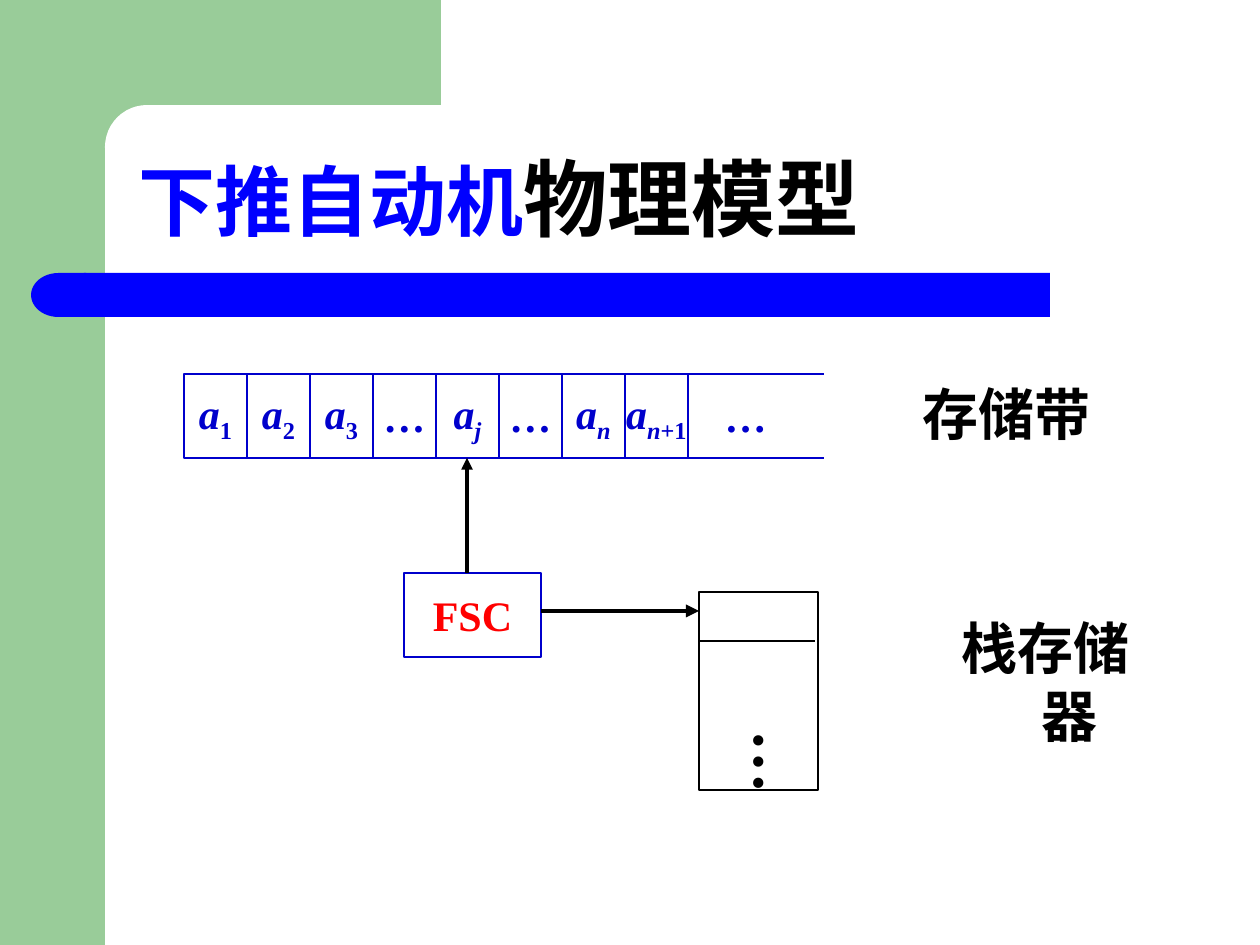
from dataclasses import dataclass
from lxml.etree import SubElement
from pptx import Presentation
from pptx.dml.color import RGBColor
from pptx.enum.shapes import MSO_CONNECTOR, MSO_SHAPE
from pptx.enum.text import MSO_ANCHOR, MSO_AUTO_SIZE, PP_ALIGN
from pptx.oxml.ns import qn
from pptx.util import Pt


@dataclass(frozen=True)
class Theme:
    font: str = "Times New Roman"
    green: str = "99CC99"
    white: str = "FFFFFF"
    blue: str = "0000FF"
    tape: str = "0000CC"
    red: str = "FF0000"
    black: str = "000000"
    title: int = 44
    title_large: int = 48
    symbol: int = 24
    label: int = 32
    dots: int = 36
    hairline: float = 0.75


theme = Theme()
PX = 914400 / 126


def px(*lengths):
    return [round(length * PX) for length in lengths]


def write(shape, runs, size, color, frame_format, paragraph_format):
    frame = shape.text_frame
    for name, value in frame_format.items():
        setattr(frame, name, value)
    paragraph = frame.paragraphs[0]
    for name, value in paragraph_format.items():
        setattr(paragraph, name, value)
    for text, changes in runs:
        run = paragraph.add_run()
        run.text = text
        font_format = {"name": theme.font, "size": Pt(size), "bold": True, "italic": False}
        for name, value in (font_format | changes).items():
            if name == "baseline":
                run._r.get_or_add_rPr().set(name, value)
            elif name != "color":
                setattr(run.font, name, value)
        run.font.color.rgb = RGBColor.from_string(changes.get("color", color))


deck = Presentation()
deck.slide_width, deck.slide_height = px(1260, 945)
slide = deck.slides.add_slide(deck.slide_layouts[5])
shapes = slide.shapes

for kind, place, color, rotation in [
    (MSO_SHAPE.RECTANGLE, (0, 0, 105, 945), theme.green, 0),
    (MSO_SHAPE.RECTANGLE, (94, 0, 347, 147), theme.green, 0),
    (MSO_SHAPE.ROUNDED_RECTANGLE, (105, 105, 703, 84), theme.white, 0),
    (MSO_SHAPE.RECTANGLE, (84, 273, 966, 44), theme.blue, 0),
    (MSO_SHAPE.FLOWCHART_DELAY, (31, 273, 55, 44), theme.blue, 180),
]:
    ornament = shapes.add_shape(kind, *px(*place))
    ornament.shadow.inherit = False
    ornament.fill.solid()
    ornament.fill.fore_color.rgb = RGBColor.from_string(color)
    ornament.line.fill.background()
    ornament.rotation = rotation
    if kind == MSO_SHAPE.ROUNDED_RECTANGLE:
        ornament.adjustments[0] = 0.5

title = shapes.title
title.left, title.top, title.width, title.height = px(126, 97, 1102, 158)
title.element.getparent().append(title.element)
write(
    title,
    [("下推自动机", {"color": theme.blue}), ("物理模型", {"size": Pt(theme.title_large)})],
    theme.title,
    theme.black,
    {"vertical_anchor": MSO_ANCHOR.BOTTOM, "word_wrap": True, "auto_size": MSO_AUTO_SIZE.NONE},
    {"alignment": PP_ALIGN.LEFT, "line_spacing": 0.9},
)

centred = {"alignment": PP_ALIGN.CENTER}
unwrapped = {"vertical_anchor": MSO_ANCHOR.MIDDLE, "word_wrap": False}
italic = {"italic": True}
lower = {"baseline": "-25000"}
ellipsis = [("…", {})]
tape_left, tape_top, cell_width, cell_height = 184, 374, 63, 84
tape_cells = [
    [("a", italic), ("1", lower)],
    [("a", italic), ("2", lower)],
    [("a", italic), ("3", lower)],
    ellipsis,
    [("a", italic), ("j", italic | lower)],
    ellipsis,
    [("a", italic), ("n", italic | lower)],
    [("a", italic), ("n", italic | lower), ("+1", lower)],
]
boxes = [
    ((tape_left + i * cell_width, tape_top, cell_width, cell_height), runs, theme.tape, theme.tape)
    for i, runs in enumerate(tape_cells)
]
boxes += [
    ((404, 573, 137, 84), [("FSC", {})], theme.tape, theme.red),
    ((699, 592, 119, 198), [], theme.black, theme.black),
]
for place, runs, outline, color in boxes:
    box = shapes.add_shape(MSO_SHAPE.RECTANGLE, *px(*place))
    box.shadow.inherit = False
    box.fill.background()
    box.line.color.rgb = RGBColor.from_string(outline)
    box.line.width = Pt(theme.hairline)
    write(box, runs, theme.symbol, color, unwrapped, centred)

tape_end = tape_left + len(tape_cells) * cell_width
tape_bottom = tape_top + cell_height
for ends, color, width, arrow in [
    ((tape_end, tape_top, 824, tape_top), theme.tape, theme.hairline, False),
    ((tape_end, tape_bottom, 824, tape_bottom), theme.tape, theme.hairline, False),
    ((467, 573, 467, tape_bottom), theme.black, 2.25, True),
    ((699, 641, 815, 641), theme.black, theme.hairline, False),
    ((541, 611, 699, 611), theme.black, 2.5, True),
]:
    link = shapes.add_connector(MSO_CONNECTOR.STRAIGHT, *px(*ends))
    link.line.color.rgb = RGBColor.from_string(color)
    link.line.width = Pt(width)
    if arrow:
        SubElement(link.line._get_or_add_ln(), qn("a:tailEnd"), type="triangle")
    SubElement(link.element.spPr, qn("a:effectLst"))

tape_rest = shapes.add_textbox(*px(698, 384, 95, 63))
write(tape_rest, ellipsis, theme.symbol, theme.tape, {"word_wrap": True},
      centred | {"space_before": Pt(12)})

for place, text, size, vertical in [
    ((730, 670, 99, 80), "…", theme.dots, True),
    ((888, 373, 238, 80), "存储带", theme.label, False),
    ((927, 641, 238, 80), "栈存储器", theme.label, False),
]:
    label = shapes.add_textbox(*px(*place))
    write(label, [(text, {})], size, theme.black, unwrapped,
          centred | {"space_before": Pt(round(size * 0.2))})
    indent = px(48)[0]
    paragraph_properties = label.text_frame.paragraphs[0]._p.get_or_add_pPr()
    paragraph_properties.set("marL", str(indent))
    paragraph_properties.set("indent", str(-indent))
    if vertical:
        label.element.txBody.bodyPr.set("vert", "eaVert")

deck.save("out.pptx")
